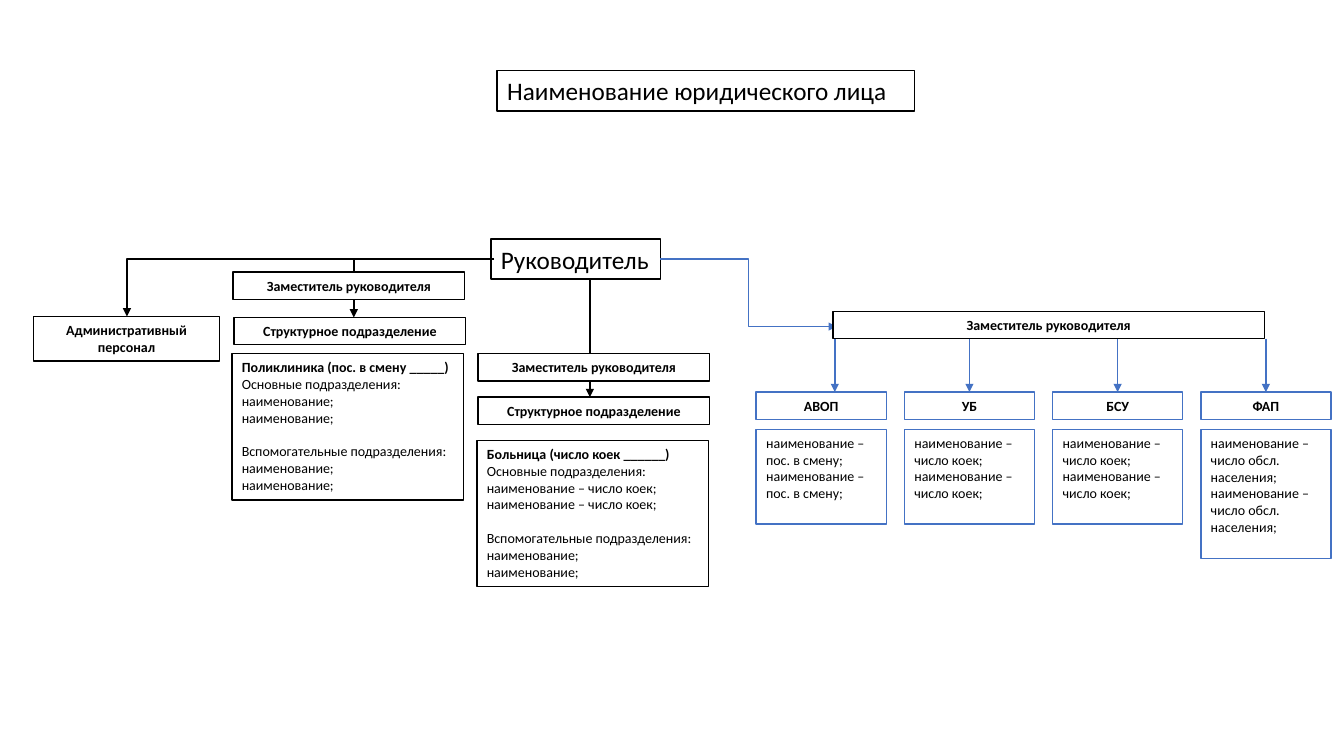
from lxml.etree import SubElement as Sub
from pptx import Presentation
from pptx.dml.color import RGBColor as RGB
from pptx.enum.shapes import MSO_CONNECTOR as Conn, MSO_SHAPE as Form
from pptx.enum.text import MSO_ANCHOR as Anchor, MSO_AUTO_SIZE as Auto, PP_ALIGN as Align
from pptx.oxml.ns import qn
from pptx.util import Inches, Pt

COLORS = {"ink": "000000", "paper": "FFFFFF", "blue": "4472C4"}


class Chart:
    """Style and current slide of the organisation chart."""
    font = "Calibri"
    small, large = 10, 18
    stroke = 1

    def __init__(self, slide):
        self.slide = slide

    def hue(self, name):
        return RGB.from_string(COLORS[name])

    def frame(self, shape, color):
        shape.fill.solid()
        shape.fill.fore_color.rgb = self.hue("paper")
        shape.line.color.rgb = self.hue(color)
        shape.line.width = Pt(self.stroke)

    def letter(self, shape, lines, size, bold=0, align=Align.LEFT, gap=None, wrap=True):
        """The first `bold` lines are bold; line `gap` has space above it."""
        text = shape.text_frame
        text.word_wrap = wrap
        text.auto_size = Auto.NONE
        text.vertical_anchor = Anchor.TOP
        for i, line in enumerate(lines):
            para = text.paragraphs[0] if i == 0 else text.add_paragraph()
            para.alignment = align
            if i == gap:
                para.space_before = Pt(12)
            run = para.add_run()
            run.text = line
            run.font.name = self.font
            run.font.size = Pt(size)
            run.font.bold = i < bold
            run.font.color.rgb = self.hue("ink")

    def title(self, x, y, w, h, line):
        shape = self.slide.shapes.title
        shape.left, shape.top, shape.width, shape.height = map(Inches, (x, y, w, h))
        self.frame(shape, "ink")
        self.letter(shape, [line], self.large)

    def box(self, x, y, w, h, lines, color="ink", size=small, **style):
        shape = self.slide.shapes.add_shape(Form.RECTANGLE, *map(Inches, (x, y, w, h)))
        shape.shadow.inherit = False
        self.frame(shape, color)
        self.letter(shape, lines, size, **style)
        return shape

    def label(self, x, y, w, line, color="ink", h=0.27):
        return self.box(x, y, w, h, [line], color, bold=1, align=Align.CENTER)

    def arrow(self, x1, y1, x2, y2, color="ink", kind=Conn.STRAIGHT):
        link = self.slide.shapes.add_connector(kind, *map(Inches, (x1, y1, x2, y2)))
        link.line.color.rgb = self.hue(color)
        link.line.width = Pt(self.stroke)
        props = link._element.spPr
        Sub(props.find(qn("a:ln")), qn("a:tailEnd"), type="triangle")
        Sub(props, qn("a:effectLst"))
        return link

    def corner(self, *ends):
        """Arrow with a single bend: across, then down."""
        link = self.arrow(*ends, kind=Conn.ELBOW)
        link._element.spPr.find(qn("a:prstGeom")).set("prst", "bentConnector2")


def main():
    deck = Presentation()
    deck.slide_width, deck.slide_height = Inches(13.33), Inches(7.5)
    chart = Chart(deck.slides.add_slide(deck.slide_layouts[5]))
    deputy, unit = "Заместитель руководителя", "Структурное подразделение"
    wide = 2.3

    # Heading and head of the organisation
    chart.title(4.93, 0.7, 4.14, 0.4, "Наименование юридического лица")
    chart.box(4.87, 2.37, 1.68, 0.4, ["Руководитель"], size=chart.large, wrap=False)

    # Arrows from the head; the deputies cover parts of them
    chart.corner(4.87, 2.57, 1.26, 3.14)
    chart.corner(4.9, 2.57, 3.51, 3.15)
    chart.arrow(5.85, 2.78, 5.85, 3.94)
    chart.arrow(6.55, 2.57, 8.3, 3.24, "blue", Conn.ELBOW)

    # Administration
    chart.label(0.33, 3.14, 1.85, "Административный персонал", h=0.44)

    # Clinic and hospital: deputy, unit, list of departments
    item, beds = "наименование;", "наименование – число коек;"
    branches = [
        ((2.31, 2.7), (2.32, 3.15), (2.3, 3.51), "Поликлиника (пос. в смену _____)", item),
        ((4.74, 3.51), (4.74, 3.94), (4.73, 4.37), "Больница (число коек ______)", beds),
    ]
    for top, mid, low, name, main_item in branches:
        chart.label(*top, wide, deputy)
        chart.label(*mid, wide, unit)
        lines = [name, "Основные подразделения:", main_item, main_item,
                 "Вспомогательные подразделения:", item, item]
        chart.box(*low, wide, 1.45, lines, bold=1, gap=4)

    # Right deputy and its four kinds of unit
    chart.label(8.26, 3.09, 4.28, deputy)
    width, step = 1.29, 1.47
    units = [
        ("АВОП", "наименование – пос. в смену;", 0.94, 8.28),
        ("УБ", beds, 0.94, None),
        ("БСУ", beds, 0.94, None),
        ("ФАП", "наименование – число обсл. населения;", 1.28, None),
    ]
    for i, (name, line, height, side) in enumerate(units):
        x = 7.5 + i * step
        head = chart.label(x, 3.89, width, name, "blue")
        chart.box(x, 4.26, width, height, [line, line], "blue")
        mid = side or x + width / 2
        link = chart.arrow(mid, 3.36, mid, 3.89, "blue")
        if side is None:
            link.end_connect(head, 0)

    deck.save("out.pptx")


if __name__ == "__main__":
    main()
